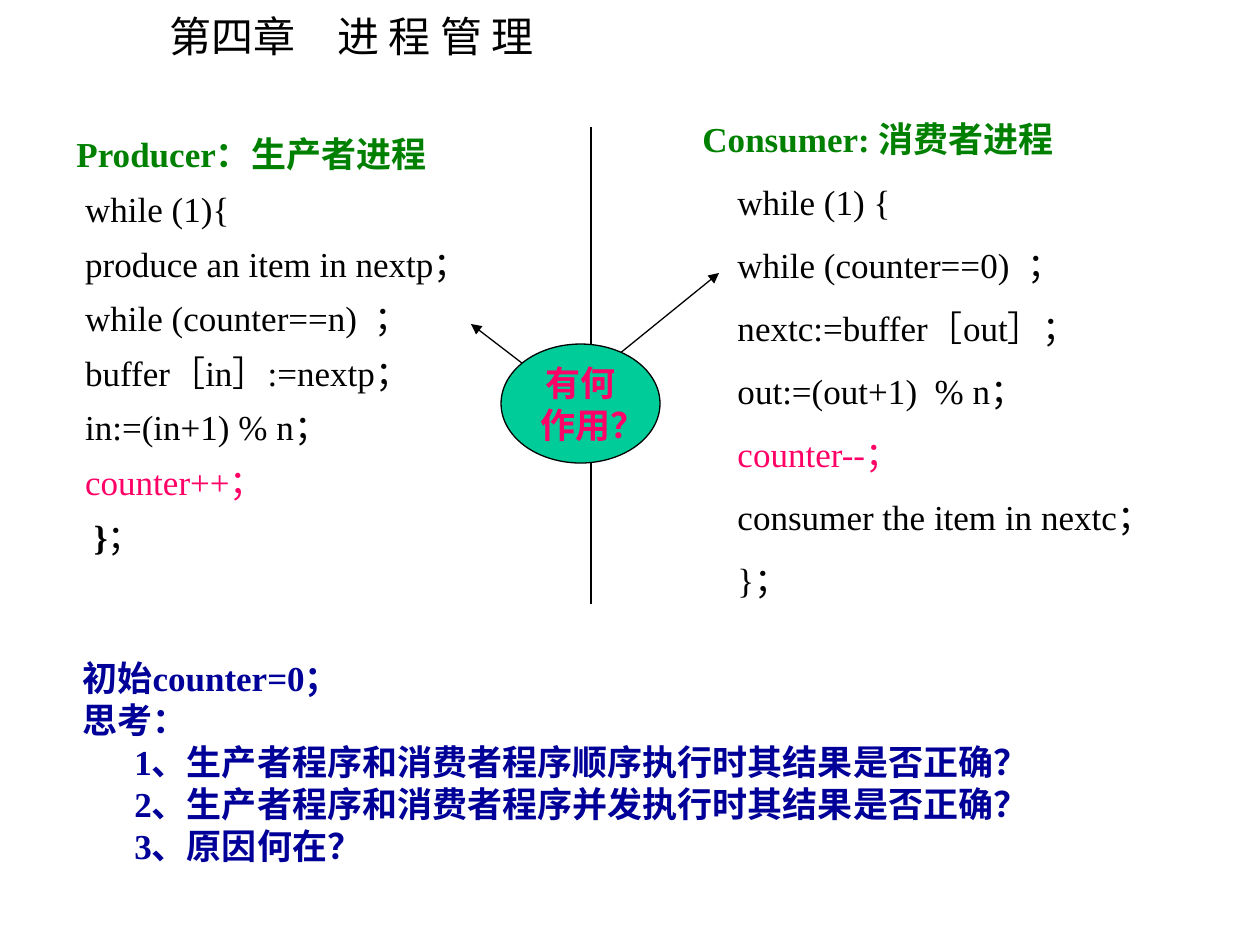
from dataclasses import dataclass

from lxml import etree
from pptx import Presentation
from pptx.dml.color import RGBColor
from pptx.enum.shapes import MSO_CONNECTOR, MSO_SHAPE
from pptx.enum.text import MSO_ANCHOR, PP_ALIGN
from pptx.oxml.ns import qn
from pptx.util import Pt

STRAIGHT = MSO_CONNECTOR.STRAIGHT
OVAL = MSO_SHAPE.OVAL
MIDDLE = MSO_ANCHOR.MIDDLE
LEFT, CENTER = PP_ALIGN.LEFT, PP_ALIGN.CENTER
EMU_PER_PX = 914400 / 126


@dataclass(frozen=True)
class Theme:
    black: str = "000000"
    heading: str = "008000"
    accent: str = "FF0066"
    question: str = "000099"
    bubble: str = "00CC99"
    title_font: str = "Noto Sans CJK SC"
    body_font: str = "Times New Roman"
    title_size: int = 24
    body_size: int = 20
    line_width: float = 0.75


T = Theme()

PRODUCER = [
    " while (1){",
    " produce an item in nextp；",
    " while (counter==n)  ；",
    " buffer［in］:=nextp；",
    " in:=(in+1) % n；",
    " counter++；",
    "  }",
]
CONSUMER = [
    "    while (1) {",
    "    while (counter==0)  ；",
    "　nextc:=buffer［out］；",
    "　out:=(out+1)  % n；",
    "　counter--；",
    "　consumer the item in nextc；",
    "　}；",
]
QUESTIONS = [
    "1、生产者程序和消费者程序顺序执行时其结果是否正确？",
    "2、生产者程序和消费者程序并发执行时其结果是否正确？",
    "3、原因何在？",
]


def px(n):
    return round(n * EMU_PER_PX)


def rgb(value):
    return RGBColor.from_string(value)


def add_line(tf, text, color, bold=False, size=T.body_size, font=T.body_font,
             spacing=None, indent=0, align=LEFT):
    """Write one paragraph, using the frame's empty first one if it is free."""
    p = tf.paragraphs[0] if not tf.paragraphs[0].runs else tf.add_paragraph()
    p.alignment = align
    if spacing:
        p.line_spacing = spacing
    if indent:
        p._p.get_or_add_pPr().set("marL", str(px(indent)))
    p.font.name, p.font.size, p.font.bold = font, Pt(size), bold
    p.font.color.rgb = rgb(color)
    p.add_run().text = text
    return p


def add_text_box(s, x, y, w, h):
    tf = s.shapes.add_textbox(px(x), px(y), px(w), px(h)).text_frame
    tf.word_wrap = True
    return tf


def add_code(s, x, y, w, h, heading, lines, spacing):
    """A green heading over code; lines that change the counter stand out."""
    tf = add_text_box(s, x, y, w, h)
    add_line(tf, heading, T.heading, bold=True, spacing=spacing)
    for text in lines:
        changes_counter = text.strip().startswith("counter")
        color = T.accent if changes_counter else T.black
        add_line(tf, text, color, spacing=spacing)
    return tf


def add_rule(s, x1, y1, x2, y2, arrow=False):
    line = s.shapes.add_connector(STRAIGHT, px(x1), px(y1), px(x2), px(y2))
    line.line.color.rgb = rgb(T.black)
    line.line.width = Pt(T.line_width)
    if arrow:
        ln = line.line._get_or_add_ln()
        etree.SubElement(ln, qn("a:tailEnd"), type="triangle")
    etree.SubElement(line._element.spPr, qn("a:effectLst"))


def add_bubble(s, x, y, w, h):
    sp = s.shapes.add_shape(OVAL, px(x), px(y), px(w), px(h))
    sp.shadow.inherit = False
    sp.fill.solid()
    sp.fill.fore_color.rgb = rgb(T.bubble)
    sp.line.color.rgb = rgb(T.black)
    sp.line.width = Pt(T.line_width)
    tf = sp.text_frame
    tf.word_wrap = False
    tf.vertical_anchor = MIDDLE
    add_line(tf, "有何", T.accent, bold=True, align=CENTER)
    add_line(tf, "作用？", T.accent, bold=True, align=CENTER, indent=26)


def main():
    prs = Presentation()
    prs.slide_width, prs.slide_height = px(1260), px(945)
    s = prs.slides.add_slide(prs.slide_layouts[6])

    # Chapter title
    tf = add_text_box(s, 157, 4, 430, 63)
    add_line(tf, "第四章　进 程 管 理", T.black, size=T.title_size,
             font=T.title_font)

    # Producer and consumer code on either side of a divider
    tf = add_code(s, 64, 114, 496, 450, "Producer：生产者进程", PRODUCER, 1.3)
    closing = tf.paragraphs[-1]
    closing.runs[0].font.bold = True
    closing.add_run().text = "；"
    add_code(s, 690, 90, 550, 517, "Consumer: 消费者进程", CONSUMER, 1.5)
    add_rule(s, 591, 127, 591, 604)

    # Questions to think about
    tf = add_text_box(s, 70, 650, 1091, 223)
    for text in ("初始counter=0；", "思考："):
        add_line(tf, text, T.question, bold=True)
    for text in QUESTIONS:
        add_line(tf, text, T.question, bold=True, indent=52)

    # Bubble pointing at the two waiting loops
    add_rule(s, 561, 393, 471, 324, arrow=True)
    add_rule(s, 571, 393, 719, 273, arrow=True)
    add_bubble(s, 501, 344, 159, 119)

    prs.save("out.pptx")


if __name__ == "__main__":
    main()
